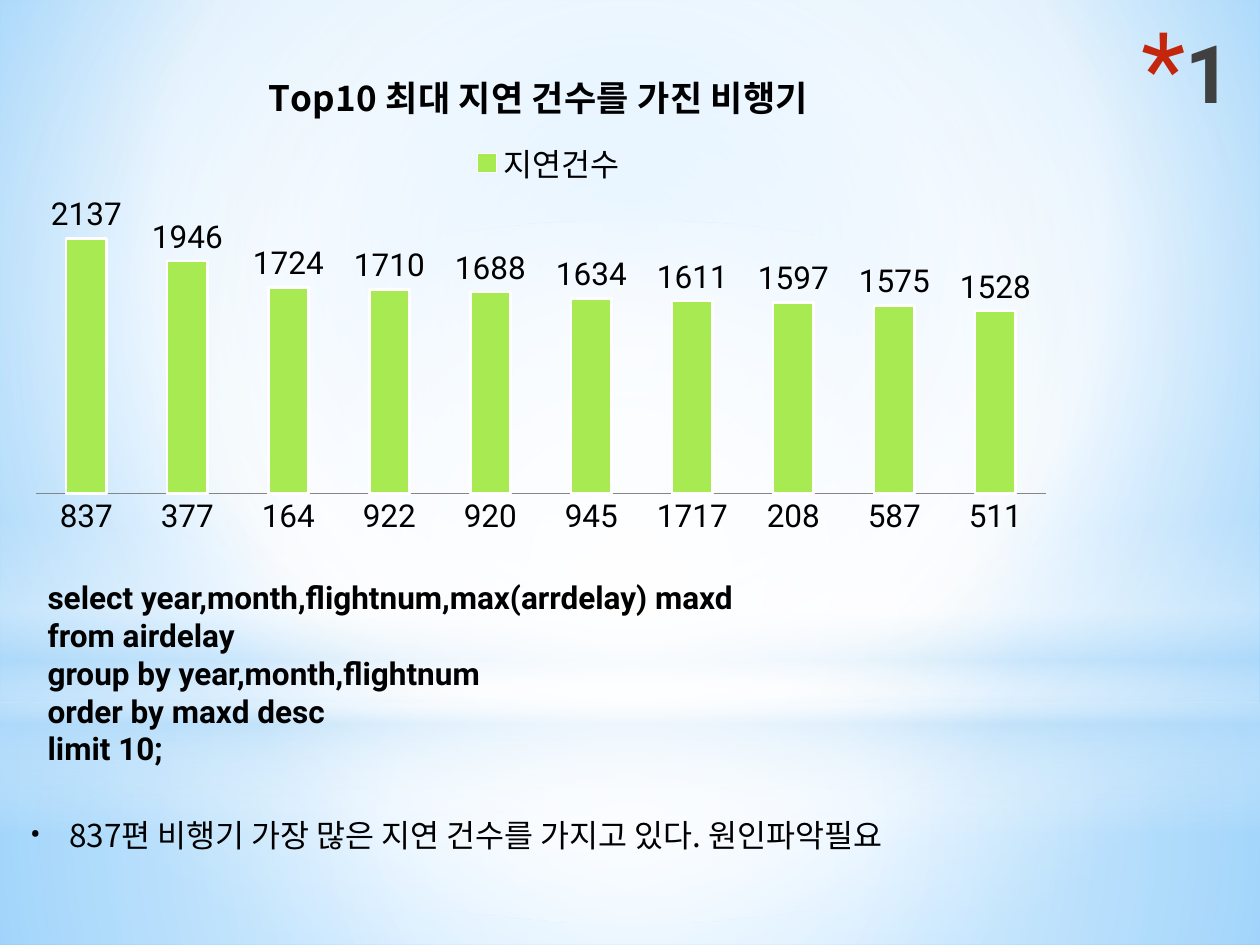
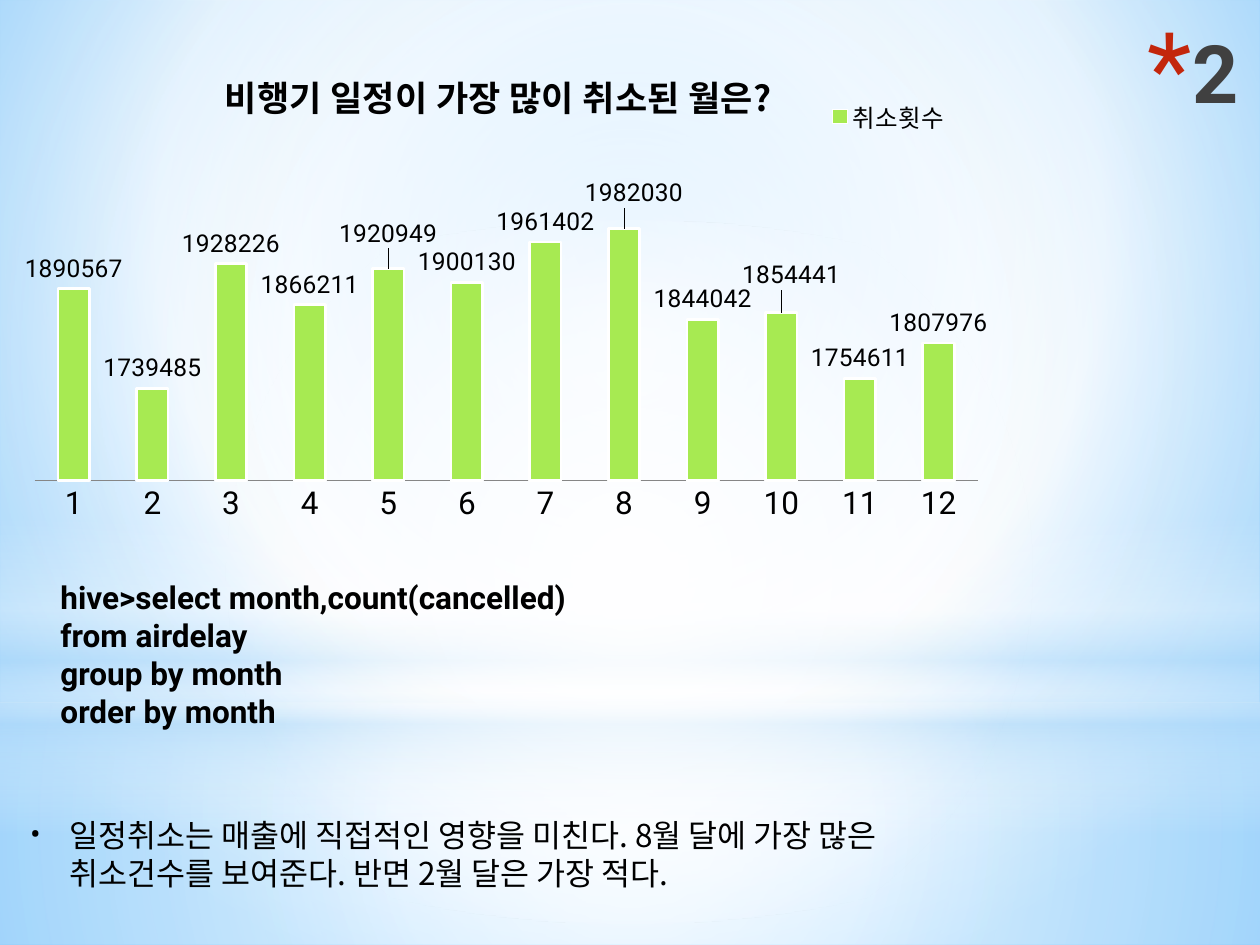
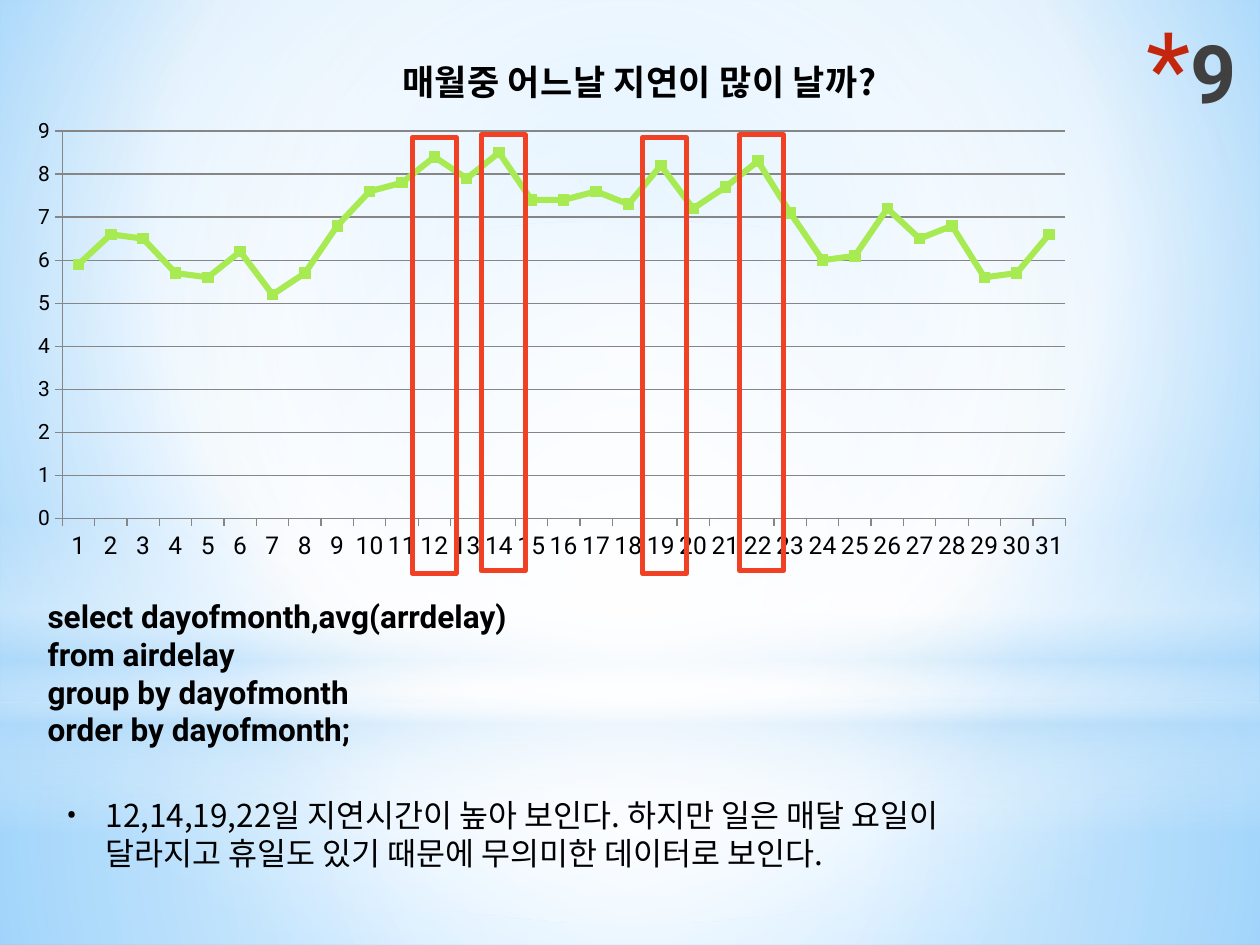
"""Builds three slides on flight delays: a chart, its query and a finding on each."""
from dataclasses import dataclass

from lxml import etree
from pptx import Presentation
from pptx import util as u
from pptx.chart.data import CategoryChartData
from pptx.dml.color import RGBColor
from pptx.enum import chart as charts, shapes, text
from pptx.oxml import parse_xml
from pptx.oxml.ns import nsdecls, qn


@dataclass(frozen=True)
class Theme:
    """Colours, fonts and type sizes shared by all slides."""
    latin: str = "Roboto"
    korean: str = "Noto Sans CJK KR"
    ink: str = "000000"
    number: str = "404040"
    star: str = "C3260C"
    series: str = "A7EA52"
    bar_edge: str = "FFFFFF"
    axis: str = "868686"
    highlight: str = "F14124"
    number_size: int = 46
    heading_size: int = 20
    body_size: int = 18
    label_size: int = 14
    scale_size: int = 12
    line_pitch: float = 21.6


THEME = Theme()
WHITE, SKY = "FFFFFF", "B4DCFA"
BACKDROP = [(0, "9ED5FF", 100), (60, WHITE, 100), (100, "5BB9FF", 100)]
CENTRE = (50, 50, 50, 50)
PANELS = [
    ("RECTANGLE", (0, 14.17, 25.4, 4.88), CENTRE,
     [(0, WHITE, 91), (37, WHITE, 76), (100, SKY, 79)]),
    ("RECTANGLE", (0, 0, 25.4, 14.17), CENTRE,
     [(0, WHITE, 89), (48, WHITE, 62), (100, SKY, 79)]),
    ("RECTANGLE", (0, 10.46, 25.4, 6.35), None,
     [(0, WHITE, 0), (29, WHITE, 30), (45, SKY, 40), (55, WHITE, 26), (65, SKY, 60), (100, WHITE, 0)]),
    ("OVAL", (0, 4.45, 25.4, 14.17), CENTRE, [(0, WHITE, 100), (56, WHITE, 0)]),
]
SLIDES = [
    dict(
        number="1", number_box=(22.5, 0.33, 2.59, 2.74),
        kind="COLUMN_CLUSTERED", chart_box=(0.3, 0.74, 21.21, 10.29),
        heading="Top10 최대 지연 건수를 가진 비행기", heading_at=(0.235, 0.047),
        legend_at=(0.43, 0.19), legend_font=(THEME.body_size, THEME.latin),
        plot=(0.02, 0.31, 0.96, 0.585), scale=(0, 2500, 500),
        name="지연건수", categories=[837, 377, 164, 922, 920, 945, 1717, 208, 587, 511],
        values=[2137, 1946, 1724, 1710, 1688, 1634, 1611, 1597, 1575, 1528],
        label_size=THEME.body_size, category_size=THEME.body_size, moved_labels={},
        query_box=(0.71, 11.53, 15.6, 4.11),
        query=["select year,month,flightnum,max(arrdelay) maxd", "from airdelay",
               "group by year,month,flightnum", "order by maxd desc", "limit 10;"],
        finding_box=(0.36, 16.33, 20.6, 1.02),
        finding="837편 비행기 가장 많은 지연 건수를 가지고 있다. 원인파악필요",
    ),
    dict(
        number="2", number_box=(7.14, 0.33, 18.08, 3.18),
        kind="COLUMN_CLUSTERED", chart_box=(0.3, 0.74, 19.81, 10.01),
        heading="비행기 일정이 가장 많이 취소된 월은?", heading_at=(0.207, 0.048),
        legend_at=(0.824, 0.115), legend_font=(THEME.label_size, THEME.korean),
        plot=(0.02, 0.362, 0.96, 0.532), scale=(1600000, 2000000, 50000),
        name="취소횟수", categories=range(1, 13),
        values=[1890567, 1739485, 1928226, 1866211, 1920949, 1900130,
                1961402, 1982030, 1844042, 1854441, 1754611, 1807976],
        label_size=THEME.label_size, category_size=THEME.body_size,
        moved_labels={4: (0, -0.03), 7: (0.01, -0.03), 9: (0.01, -0.035)},
        query_box=(0.97, 11.53, 12.7, 3.33),
        query=["hive>select month,count(cancelled)", "from airdelay", "group by month", "order by month"],
        finding_box=(0.36, 16.33, 20.6, 1.8),
        finding="일정취소는 매출에 직접적인 영향을 미친다. 8월 달에 가장 많은 취소건수를 보여준다. "
                "반면 2월 달은 가장 적다.",
    ),
    dict(
        number="9", number_box=(7.11, 0.33, 18.08, 3.18),
        kind="LINE_MARKERS", chart_box=(0.61, 0.53, 21.49, 11.81),
        heading="매월중 어느날 지연이 많이 날까?", heading_at=(0.343, 0.03),
        legend_at=None, plot=(0.03, 0.179, 0.941, 0.661), scale=(0, 9, 1),
        name="지연시간", categories=range(1, 32),
        values=[5.9, 6.6, 6.5, 5.7, 5.6, 6.2, 5.2, 5.7, 6.8, 7.6, 7.8, 8.4, 7.9, 8.5, 7.4, 7.4,
                7.6, 7.3, 8.2, 7.2, 7.7, 8.3, 7.1, 6, 6.1, 7.2, 6.5, 6.8, 5.6, 5.7, 6.6],
        category_size=THEME.label_size,
        query_box=(0.71, 11.91, 12.7, 3.33),
        query=["select dayofmonth,avg(arrdelay)", "from airdelay", "group by dayofmonth",
               "order by dayofmonth;"],
        finding_box=(1.09, 15.93, 19.81, 1.8),
        finding="12,14,19,22일 지연시간이 높아 보인다. 하지만 일은 매달 요일이 달라지고 "
                "휴일도 있기 때문에 무의미한 데이터로 보인다.",
        peak_days=[(8.31, 2.77), (9.7, 2.72), (12.95, 2.77), (14.91, 2.72)],
    ),
]
PEAK_SIZE = (0.89, 8.79)


def box(lengths):
    return [u.Cm(length) for length in lengths]


def style(font, size, name=THEME.latin, colour=THEME.ink, bold=False):
    font.size, font.name, font.bold = u.Pt(size), name, bold
    font.color.rgb = RGBColor.from_string(colour)
    etree.SubElement(font._rPr, qn("a:ea"), typeface=THEME.korean)


def paint_line(line, colour, width):
    line.color.rgb = RGBColor.from_string(colour)
    line.width = u.Pt(width)


def paint_gradient(fill, owner, stops, focus):
    fill.solid()
    colours = "".join(
        f'<a:gs pos="{position * 1000}"><a:srgbClr val="{colour}"><a:alpha val="{alpha * 1000}"/>'
        f'</a:srgbClr></a:gs>' for position, colour, alpha in stops)
    direction = '<a:lin ang="5400000" scaled="0"/>'
    if focus:
        edges = " ".join(f'{side}="{value * 1000}"' for side, value in zip("ltrb", focus))
        direction = f'<a:path path="circle"><a:fillToRect {edges}/></a:path>'
    solid = next(owner.iter(qn("a:solidFill")))
    solid.getparent().replace(solid, parse_xml(
        f'<a:gradFill {nsdecls("a")} rotWithShape="1"><a:gsLst>{colours}</a:gsLst>{direction}</a:gradFill>'))


def add_bullet(paragraph, character, indent, size=100, colour=THEME.ink):
    properties = paragraph._p.get_or_add_pPr()
    properties.set("marL", str(u.Cm(indent)))
    properties.set("indent", str(-u.Cm(indent)))
    bullet_colour = etree.SubElement(properties, qn("a:buClr"))
    etree.SubElement(bullet_colour, qn("a:srgbClr"), val=colour)
    etree.SubElement(properties, qn("a:buSzPct"), val=str(size * 1000))
    etree.SubElement(properties, qn("a:buFont"), typeface=THEME.latin)
    etree.SubElement(properties, qn("a:buChar"), char=character)


def place(parent, after, position, target=None, mode="edge"):
    """Give a chart part a manual layout, after the named child or first."""
    for old in parent.findall(qn("c:layout")):
        parent.remove(old)
    layout = etree.Element(qn("c:layout"))
    manual = etree.SubElement(layout, qn("c:manualLayout"))
    settings = [("layoutTarget", target)] if target else []
    settings += [("xMode", mode), ("yMode", mode)]
    settings += zip("xywh", position)
    for tag, value in settings:
        etree.SubElement(manual, qn(f"c:{tag}"), val=str(value))
    index = parent.index(parent.find(qn(after))) + 1 if after else 0
    parent.insert(index, layout)


def clear_background(chart):
    def blank():
        return parse_xml(f'<c:spPr {nsdecls("c", "a")}><a:noFill/><a:ln><a:noFill/></a:ln></c:spPr>')
    body = chart.element.find(qn("c:chart"))
    body.addnext(blank())
    body.find(qn("c:plotArea")).append(blank())


def format_columns(chart, content):
    plot = chart.plots[0]
    plot.gap_width, plot.vary_by_categories = 150, False
    chart.value_axis.visible = False
    chart.value_axis.has_major_gridlines = False
    chart.category_axis.major_tick_mark = charts.XL_TICK_MARK.NONE
    series = plot.series[0]
    series.format.fill.solid()
    series.format.fill.fore_color.rgb = RGBColor.from_string(THEME.series)
    paint_line(series.format.line, THEME.bar_edge, 1.5)
    labels = series.data_labels
    labels.show_value = True
    labels.position = charts.XL_LABEL_POSITION.OUTSIDE_END
    style(labels.font, content["label_size"])
    for index, shift in content["moved_labels"].items():
        label = series.points[index].data_label
        label.position = charts.XL_LABEL_POSITION.OUTSIDE_END
        style(label.font, content["label_size"])
        entry = next(item for item in chart.element.iter(qn("c:dLbl"))
                     if item.find(qn("c:idx")).get("val") == str(index))
        place(entry, "c:idx", shift, mode="factor")


def format_line(chart):
    chart.plots[0].vary_by_categories = False
    series = chart.plots[0].series[0]
    series.smooth = False
    paint_line(series.format.line, THEME.series, 3.5)
    series.marker.style, series.marker.size = charts.XL_MARKER_STYLE.SQUARE, 6
    series.marker.format.fill.solid()
    series.marker.format.fill.fore_color.rgb = RGBColor.from_string(THEME.series)
    paint_line(series.marker.format.line, THEME.series, 0.75)
    paint_line(chart.value_axis.major_gridlines.format.line, THEME.axis, 0.75)
    paint_line(chart.value_axis.format.line, THEME.axis, 0.75)
    style(chart.value_axis.tick_labels.font, THEME.scale_size)


def add_chart(slide, content):
    data = CategoryChartData()
    data.categories = [str(category) for category in content["categories"]]
    data.add_series(content["name"], content["values"])
    kind = charts.XL_CHART_TYPE[content["kind"]]
    chart = slide.shapes.add_chart(kind, *box(content["chart_box"]), data).chart
    style(chart.font, THEME.body_size)
    chart.has_title = True
    chart.chart_title.text_frame.text = content["heading"]
    heading_run = chart.chart_title.text_frame.paragraphs[0].runs[0]
    style(heading_run.font, THEME.heading_size, THEME.korean, bold=True)
    place(next(chart.element.iter(qn("c:title"))), "c:tx", content["heading_at"])
    chart.has_legend = content["legend_at"] is not None
    if chart.has_legend:
        chart.legend.position = charts.XL_LEGEND_POSITION.TOP
        chart.legend.include_in_layout = False
        style(chart.legend.font, *content["legend_font"])
        place(next(chart.element.iter(qn("c:legend"))), "c:legendPos", content["legend_at"])
    axis = chart.value_axis
    axis.minimum_scale, axis.maximum_scale, axis.major_unit = content["scale"]
    paint_line(chart.category_axis.format.line, THEME.axis, 0.75)
    style(chart.category_axis.tick_labels.font, content["category_size"])
    place(next(chart.element.iter(qn("c:plotArea"))), None, content["plot"], target="inner")
    if content["kind"] == "LINE_MARKERS":
        format_line(chart)
    else:
        format_columns(chart, content)
    clear_background(chart)


def add_text(slide, position, lines, name, bold=False):
    frame = slide.shapes.add_textbox(*box(position)).text_frame
    frame.word_wrap = True
    frame.text = "\n".join(lines)
    for paragraph in frame.paragraphs:
        paragraph.line_spacing = u.Pt(THEME.line_pitch)
        style(paragraph.runs[0].font, THEME.body_size, name, bold=bold)
    return frame


def add_number(slide, content):
    title = slide.shapes.title
    title.left, title.top, title.width, title.height = box(content["number_box"])
    frame = title.text_frame
    frame.text = content["number"]
    frame.vertical_anchor = text.MSO_ANCHOR.TOP
    frame.auto_size = text.MSO_AUTO_SIZE.NONE
    paragraph = frame.paragraphs[0]
    paragraph.alignment = text.PP_ALIGN.RIGHT
    add_bullet(paragraph, "*", 0.89, 128, THEME.star)
    style(paragraph.runs[0].font, THEME.number_size, colour=THEME.number, bold=True)


def add_peak_frame(slide, corner):
    frame = slide.shapes.add_shape(shapes.MSO_SHAPE.RECTANGLE, *box(corner + PEAK_SIZE))
    frame.shadow.inherit = False
    frame.fill.background()
    paint_line(frame.line, THEME.highlight, 2.75)


def decorate_master(master, slide):
    """Paint the backdrop and move its panels from a slide to the master."""
    paint_gradient(master.background.fill, master.element, BACKDROP, (20, 10, 20, 60))
    for index, (kind, position, focus, stops) in enumerate(PANELS):
        panel = slide.shapes.add_shape(shapes.MSO_SHAPE[kind], *box(position))
        panel.shadow.inherit = False
        panel.line.fill.background()
        paint_gradient(panel.fill, panel.element.spPr, stops, focus)
        panel.element.nvSpPr.cNvPr.set("id", str(100 + index))
        master.shapes.element.insert(2 + index, panel.element)


def main():
    presentation = Presentation()
    presentation.slide_width, presentation.slide_height = u.Cm(25.4), u.Cm(19.05)
    for content in SLIDES:
        slide = presentation.slides.add_slide(presentation.slide_layouts[5])
        if content is SLIDES[0]:
            decorate_master(presentation.slide_master, slide)
        add_number(slide, content)
        add_chart(slide, content)
        add_text(slide, content["query_box"], content["query"], THEME.latin, bold=True)
        for corner in content.get("peak_days", []):
            add_peak_frame(slide, corner)
        finding = add_text(slide, content["finding_box"], [content["finding"]], THEME.korean)
        add_bullet(finding.paragraphs[0], "•", 0.79)
    presentation.save("out.pptx")


if __name__ == "__main__":
    main()
